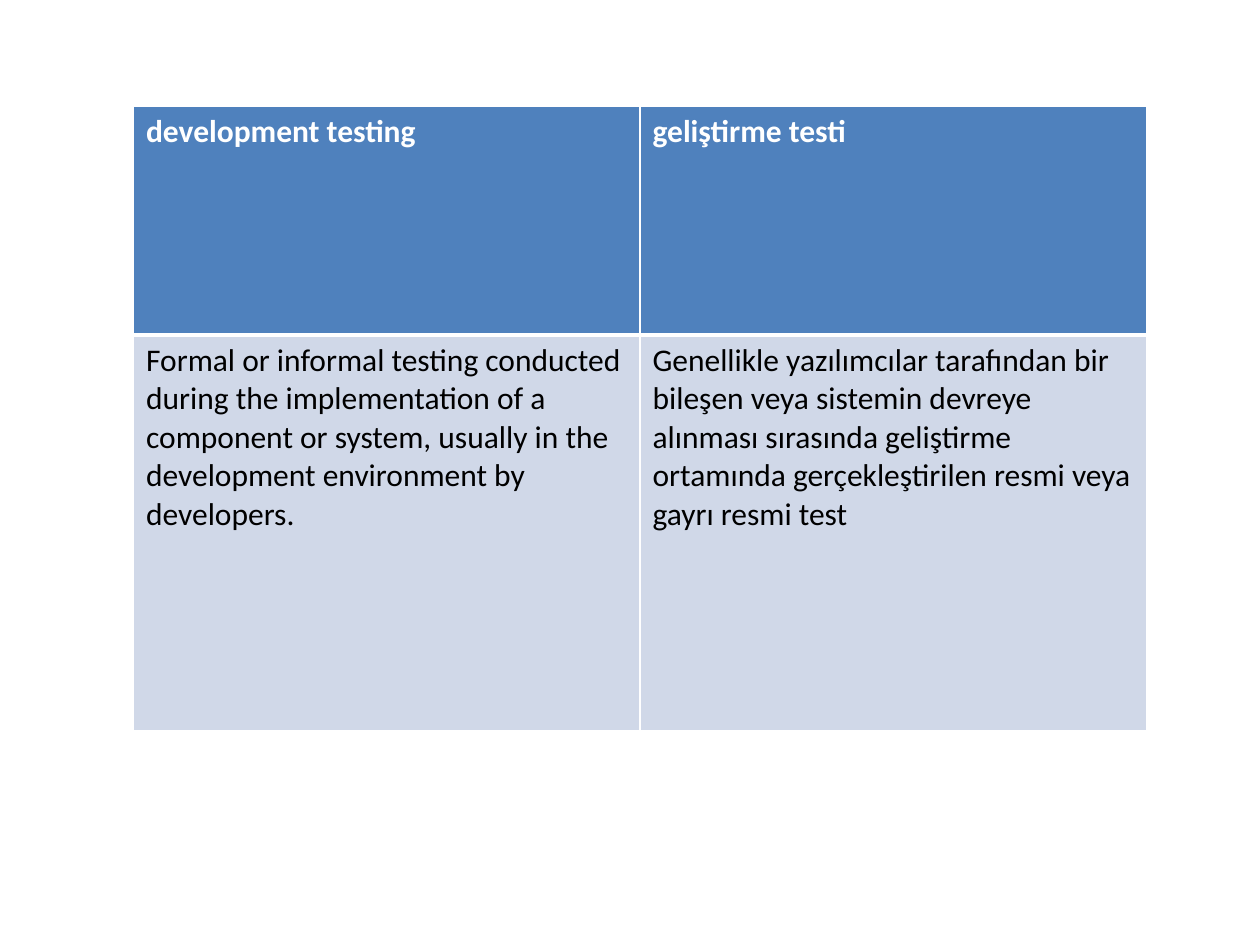
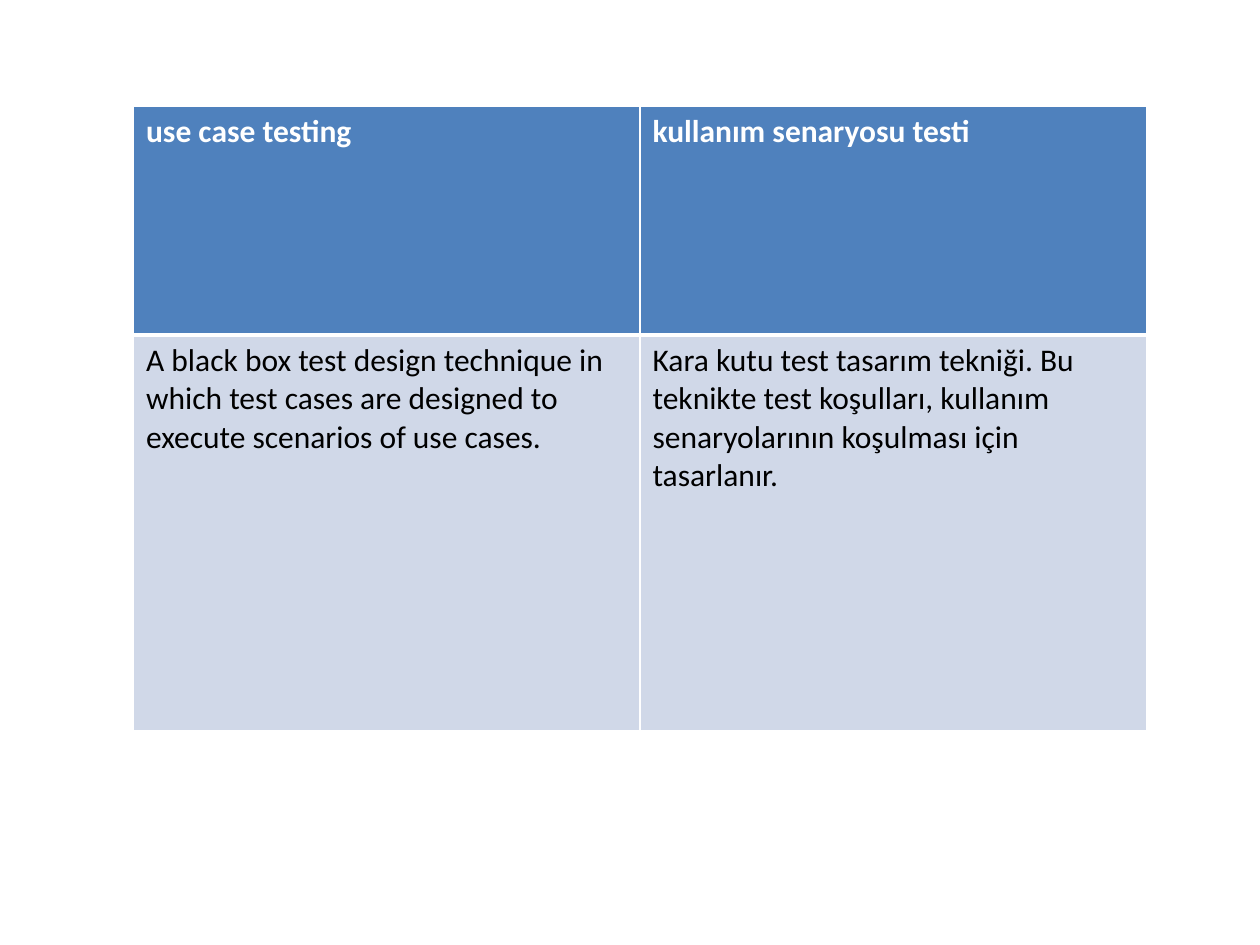
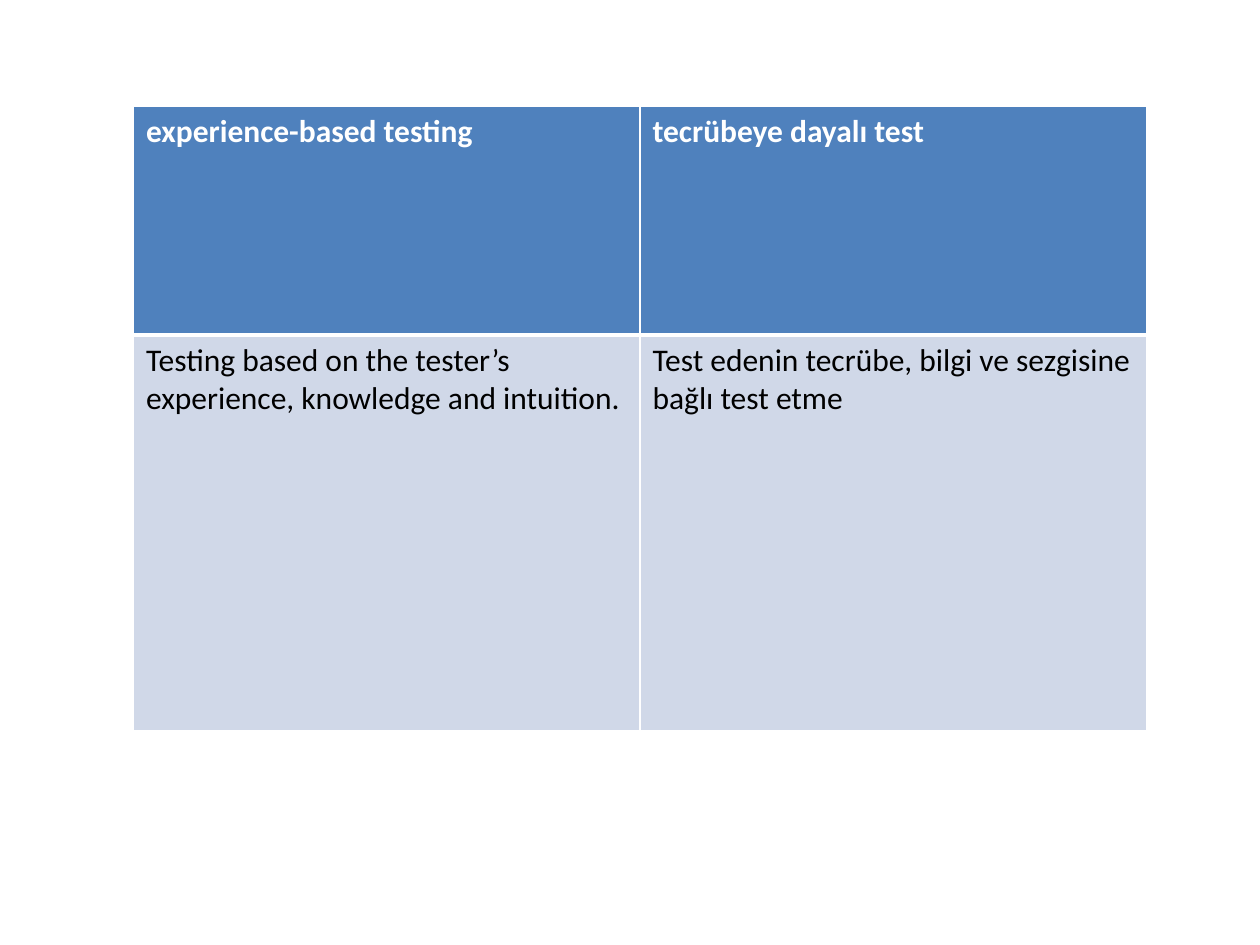
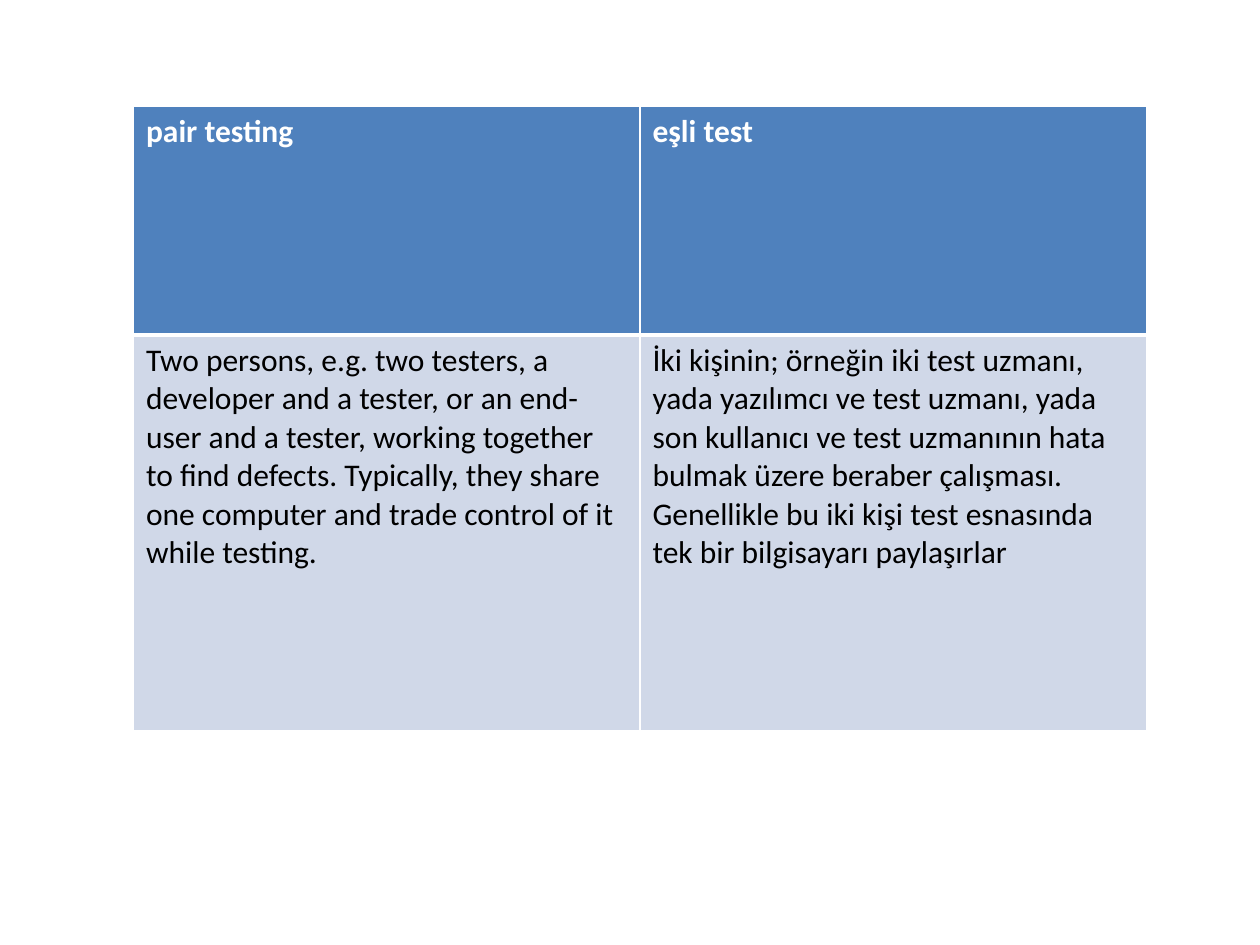
from dataclasses import dataclass

from lxml import etree
from pptx import Presentation
from pptx import util as u
from pptx.dml import color
from pptx.oxml import ns

COLORS = {
    "header": "4F81BD",
    "body": "D0D8E8",
    "border": "FFFFFF",
    "header_text": "FFFFFF",
    "body_text": "000000",
}
FONT = "Calibri"
TEXT_SIZE = u.Pt(18)
TABLE_LEFT, TABLE_TOP = u.Inches(1.06), u.Inches(0.84)
COLUMN_WIDTH = u.Inches(4.02)
THIN, THICK = u.Pt(1), u.Pt(3)


@dataclass(frozen=True)
class RowStyle:
    height: u.Length
    fill: str
    text: str
    bold: bool
    top: u.Length
    bottom: u.Length


@dataclass(frozen=True)
class Term:
    names: tuple[str, str]
    definitions: tuple[str, str]


ROW_STYLES = (
    RowStyle(u.Inches(1.82), "header", "header_text", True, THIN, THICK),
    RowStyle(u.Inches(3.14), "body", "body_text", False, THICK, THIN),
)

TERMS = (
    Term(
        ("development testing", "geliştirme testi"),
        (
            "Formal or informal testing conducted during the implementation of a "
            "component or system, usually in the development environment by developers.",
            "Genellikle yazılımcılar tarafından bir bileşen veya sistemin devreye "
            "alınması sırasında geliştirme ortamında gerçekleştirilen resmi veya "
            "gayrı resmi test",
        ),
    ),
    Term(
        ("use case testing", "kullanım senaryosu testi"),
        (
            "A black box test design technique in which test cases are designed to "
            "execute scenarios of use cases.",
            "Kara kutu test tasarım tekniği. Bu teknikte test koşulları, kullanım "
            "senaryolarının koşulması için tasarlanır.",
        ),
    ),
    Term(
        ("experience-based testing", "tecrübeye dayalı test"),
        (
            "Testing based on the tester’s experience, knowledge and intuition.",
            "Test edenin tecrübe, bilgi ve sezgisine bağlı test etme",
        ),
    ),
    Term(
        ("pair testing", "eşli test"),
        (
            "Two persons, e.g. two testers, a developer and a tester, or an end-user "
            "and a tester, working together to find defects. Typically, they share "
            "one computer and trade control of it while testing.",
            "İki kişinin; örneğin iki test uzmanı, yada yazılımcı ve test uzmanı, "
            "yada son kullanıcı ve test uzmanının hata bulmak üzere beraber "
            "çalışması. Genellikle bu iki kişi test esnasında tek bir bilgisayarı "
            "paylaşırlar",
        ),
    ),
)


def rgb(name: str) -> color.RGBColor:
    return color.RGBColor.from_string(COLORS[name])


def add_borders(cell, style: RowStyle) -> None:
    properties = cell._tc.get_or_add_tcPr()
    widths = {"lnL": THIN, "lnR": THIN, "lnT": style.top, "lnB": style.bottom}
    for side, width in widths.items():
        line = etree.SubElement(properties, ns.qn(f"a:{side}"), w=str(int(width)))
        fill = etree.SubElement(line, ns.qn("a:solidFill"))
        etree.SubElement(fill, ns.qn("a:srgbClr"), val=COLORS["border"])


def fill_cell(cell, text: str, style: RowStyle) -> None:
    add_borders(cell, style)
    cell.fill.solid()
    cell.fill.fore_color.rgb = rgb(style.fill)
    cell.text_frame.text = text
    font = cell.text_frame.paragraphs[0].runs[0].font
    font.name = FONT
    font.size = TEXT_SIZE
    font.bold = style.bold
    font.color.rgb = rgb(style.text)


def add_term_slide(deck, term: Term) -> None:
    page = deck.slides.add_slide(deck.slide_layouts[6])
    rows = (term.names, term.definitions)
    columns = len(term.names)
    height = sum(style.height for style in ROW_STYLES)
    table = page.shapes.add_table(
        len(rows), columns, TABLE_LEFT, TABLE_TOP, COLUMN_WIDTH * columns, height
    ).table
    for column in table.columns:
        column.width = COLUMN_WIDTH
    for row, texts, style in zip(table.rows, rows, ROW_STYLES):
        row.height = style.height
        for cell, text in zip(row.cells, texts):
            fill_cell(cell, text, style)


def main() -> None:
    deck = Presentation()
    deck.slide_width, deck.slide_height = u.Inches(10), u.Inches(7.5)
    for term in TERMS:
        add_term_slide(deck, term)
    deck.save("out.pptx")


if __name__ == "__main__":
    main()
